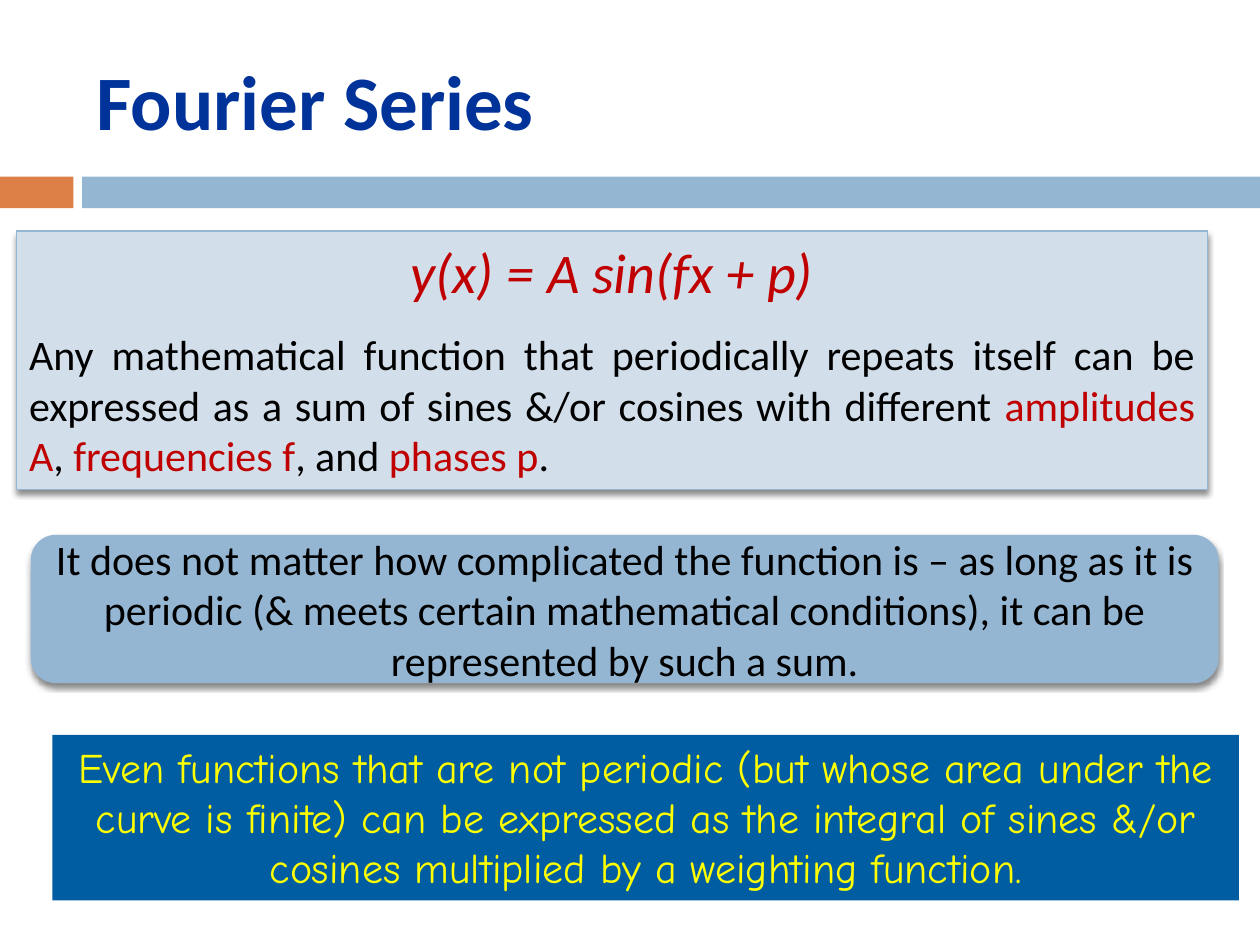
from dataclasses import dataclass

from lxml.etree import SubElement
from pptx import Presentation
from pptx.dml.color import RGBColor as RGB
from pptx.enum.shapes import MSO_SHAPE as Shape
from pptx.enum.text import MSO_ANCHOR as Anchor, PP_ALIGN as Align
from pptx.oxml.ns import qn
from pptx.util import Pt


@dataclass(frozen=True)
class Theme:
    """Colours, fonts and type sizes of the slide."""
    navy: RGB = RGB(0x00, 0x33, 0x99)
    orange: RGB = RGB(0xDD, 0x80, 0x47)
    blue: RGB = RGB(0x94, 0xB6, 0xD2)
    pale: RGB = RGB(0xD2, 0xDE, 0xEA)
    deep: RGB = RGB(0x00, 0x5D, 0xA2)
    red: RGB = RGB(0xC0, 0x00, 0x00)
    black: RGB = RGB(0x00, 0x00, 0x00)
    yellow: RGB = RGB(0xFF, 0xFF, 0x00)
    font: str = "Calibri"
    hand: str = "Comic Neue"
    title: int = 44
    formula: int = 32
    body: int = 24


THEME = Theme()


def add_panel(slide, box, fill, preset=Shape.RECTANGLE, raised=False):
    """Draw a filled panel, with an outline and a soft shadow if raised."""
    panel = slide.shapes.add_shape(preset, *map(Pt, box))
    panel.shadow.inherit = False
    panel.fill.solid()
    panel.fill.fore_color.rgb = fill
    panel.line.fill.background()
    panel.text_frame.word_wrap = True
    if raised:
        panel.line.color.rgb = THEME.blue
        panel.line.width = Pt(0.79)
        effects = panel._element.spPr.find(qn("a:effectLst"))
        shadow = SubElement(effects, qn("a:outerShdw"), blurRad=str(Pt(3)),
                            dist=str(Pt(2.4)), dir="5400000", rotWithShape="0")
        black = SubElement(shadow, qn("a:srgbClr"), val=str(THEME.black))
        SubElement(black, qn("a:alpha"), val="45000")
    return panel


def style(paragraph, size, color, align=Align.CENTER, font=THEME.font):
    """Set the alignment and font of a paragraph."""
    paragraph.alignment = align
    paragraph.font.name = font
    paragraph.font.size = Pt(size)
    paragraph.font.color.rgb = color


def add_title(slide, box, text):
    """Place the slide title, centred vertically in its box."""
    frame = slide.shapes.add_textbox(*map(Pt, box)).text_frame
    frame.word_wrap = True
    frame.vertical_anchor = Anchor.MIDDLE
    title = frame.paragraphs[0]
    title.text = text
    style(title, THEME.title, THEME.navy, Align.LEFT)
    title.font.bold = True


def add_band(slide, box):
    """Draw the two-colour band below the title."""
    left, top, width, height = box
    tab, gap = 42, 5
    add_panel(slide, (left, top, tab, height), THEME.orange)
    add_panel(slide, (left + tab + gap, top, width - tab - gap, height), THEME.blue)


def add_definition(slide, box, equation, parts):
    """Place the formula and its explanation; every second part is a red term."""
    frame = add_panel(slide, box, THEME.pale, raised=True).text_frame
    frame.vertical_anchor = Anchor.TOP
    formula = frame.paragraphs[0]
    formula.text = equation
    style(formula, THEME.formula, THEME.red)
    formula.font.italic = True
    explanation = frame.add_paragraph()
    explanation.space_before = Pt(14)
    style(explanation, THEME.body, THEME.black, Align.JUSTIFY)
    for index, part in enumerate(parts):
        run = explanation.add_run()
        run.text = part
        run.font.color.rgb = THEME.red if index % 2 else THEME.black


def add_condition(slide, box, text):
    """Place the rounded panel about periodic functions."""
    frame = add_panel(slide, box, THEME.blue, Shape.ROUNDED_RECTANGLE, True).text_frame
    frame.vertical_anchor = Anchor.MIDDLE
    frame.paragraphs[0].text = text
    style(frame.paragraphs[0], THEME.body, THEME.black)


def add_extension(slide, box, text):
    """Place the dark panel about functions that are not periodic."""
    frame = add_panel(slide, box, THEME.deep).text_frame
    frame.vertical_anchor = Anchor.TOP
    frame.paragraphs[0].text = text
    style(frame.paragraphs[0], THEME.body, THEME.yellow, font=THEME.hand)


def main():
    """Build the Fourier series slide."""
    deck = Presentation()
    deck.slide_width, deck.slide_height = Pt(720), Pt(540)
    slide = deck.slides.add_slide(deck.slide_layouts[6])
    add_band(slide, (0, 101, 720, 18))
    add_title(slide, (48, 18, 642, 78), "Fourier Series")
    add_definition(slide, (9.5, 132, 680.5, 147.6), "y(x) = A sin(fx + p)", (
        "Any mathematical function that periodically repeats itself can be expressed "
        "as a sum of sines &/or cosines with different ",
        "amplitudes A", ", ", "frequencies f", ", and ", "phases p", "."))
    add_condition(slide, (18, 306, 678, 84),
                  "It does not matter how complicated the function is – as long as it is "
                  "periodic (& meets certain mathematical conditions), it can be "
                  "represented by such a sum.")
    add_extension(slide, (30, 420, 678, 94.5),
                  "Even functions that are not periodic (but whose area under the curve "
                  "is finite) can be expressed as the integral of sines &/or cosines "
                  "multiplied by a weighting function.")
    deck.save("out.pptx")


if __name__ == "__main__":
    main()
